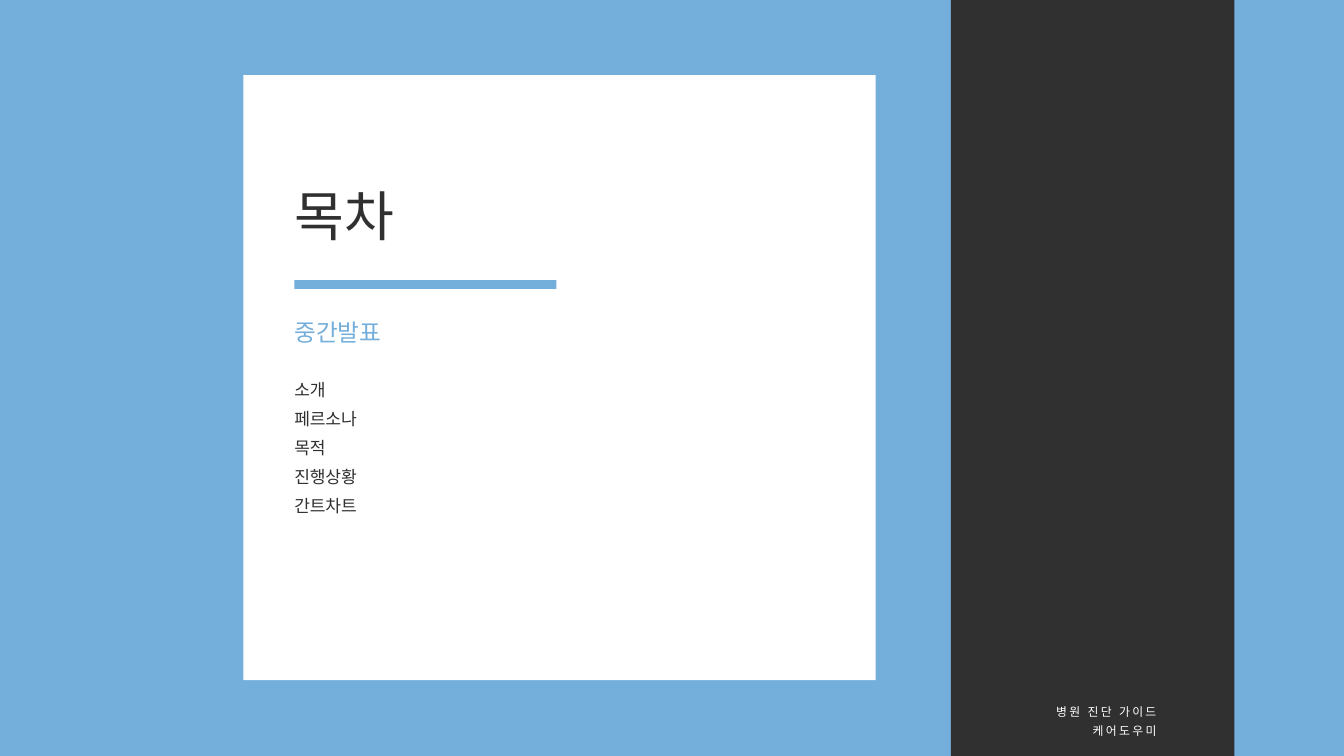
from pptx import Presentation
from pptx.dml.color import RGBColor
from pptx.enum.shapes import MSO_SHAPE
from pptx.enum.text import MSO_ANCHOR, MSO_AUTO_SIZE, PP_ALIGN
from pptx.util import Inches, Pt

BLUE = RGBColor(0x74, 0xAE, 0xDB)
DARK = RGBColor(0x30, 0x30, 0x30)
WHITE = RGBColor(0xFF, 0xFF, 0xFF)
FONT = "Calibri"
SLIDE_W, SLIDE_H = 20, 11.25


def place(sp, x, y, w, h):
    sp.left, sp.top, sp.width, sp.height = (Inches(v) for v in (x, y, w, h))


def add_rect(slide, x, y, w, h, color):
    sp = slide.shapes.add_shape(
        MSO_SHAPE.RECTANGLE, Inches(x), Inches(y), Inches(w), Inches(h))
    sp.shadow.inherit = False
    sp.fill.solid()
    sp.fill.fore_color.rgb = color
    sp.line.fill.background()


def write_lines(sp, lines, size, leading, color, align=PP_ALIGN.LEFT, spacing=0):
    tf = sp.text_frame
    tf.word_wrap = True
    tf.auto_size = MSO_AUTO_SIZE.NONE
    tf.vertical_anchor = MSO_ANCHOR.TOP
    tf.margin_left = tf.margin_top = tf.margin_right = tf.margin_bottom = 0
    for i, line in enumerate(lines):
        p = tf.paragraphs[0] if i == 0 else tf.add_paragraph()
        p.alignment = align
        p.line_spacing = Pt(leading)
        p.space_before = p.space_after = Pt(0)
        p.font.name = FONT
        p.font.size = Pt(size)
        p.font.color.rgb = color
        r = p.add_run()
        r.text = line
        if spacing:
            r.font._element.set("spc", str(round(spacing * 100)))


def add_text(slide, x, y, w, h, *args, **kwargs):
    sp = slide.shapes.add_textbox(0, 0, 0, 0)
    place(sp, x, y, w, h)
    write_lines(sp, *args, **kwargs)


def add_side_band(slide, x, y, w, h):
    add_rect(slide, x, y, w, h, DARK)
    # Project name at the foot of the band
    add_text(slide, x + 1.14, y + h - 0.83, 1.92, 0.54,
             ["병원 진단 가이드", "케어도우미"],
             12.7, 20.2, WHITE, align=PP_ALIGN.RIGHT, spacing=2.5)


def add_contents_card(slide, x, y, w, h):
    add_rect(slide, x, y, w, h, WHITE)
    left, text_w = x + 0.76, w - 1.51

    # Title, raised above the card
    title = slide.shapes.title
    slide.shapes._spTree.append(title._element)
    place(title, left, y + 1.68, text_w, 0.92)
    write_lines(title, ["목차"], 58, 63.8, DARK)

    # Rule, subtitle and agenda
    add_rect(slide, left, y + 3.05, 3.9, 0.13, BLUE)
    add_text(slide, left, y + 3.65, text_w, 0.39, ["중간발표"], 25.3, 27.8, BLUE)
    add_text(slide, left, y + 4.4, text_w, 2.57,
             ["소개", "페르소나", "목적", "진행상황", "간트차트"],
             18.3, 31.1, DARK, spacing=-0.2)


def main():
    prs = Presentation()
    prs.slide_width, prs.slide_height = Inches(SLIDE_W), Inches(SLIDE_H)
    slide = prs.slides.add_slide(prs.slide_layouts[5])
    slide.background.fill.solid()
    slide.background.fill.fore_color.rgb = BLUE

    add_side_band(slide, 14.15, 0, 4.22, SLIDE_H)
    add_contents_card(slide, 3.62, 1.12, 9.41, 9)
    prs.save("out.pptx")


if __name__ == "__main__":
    main()
